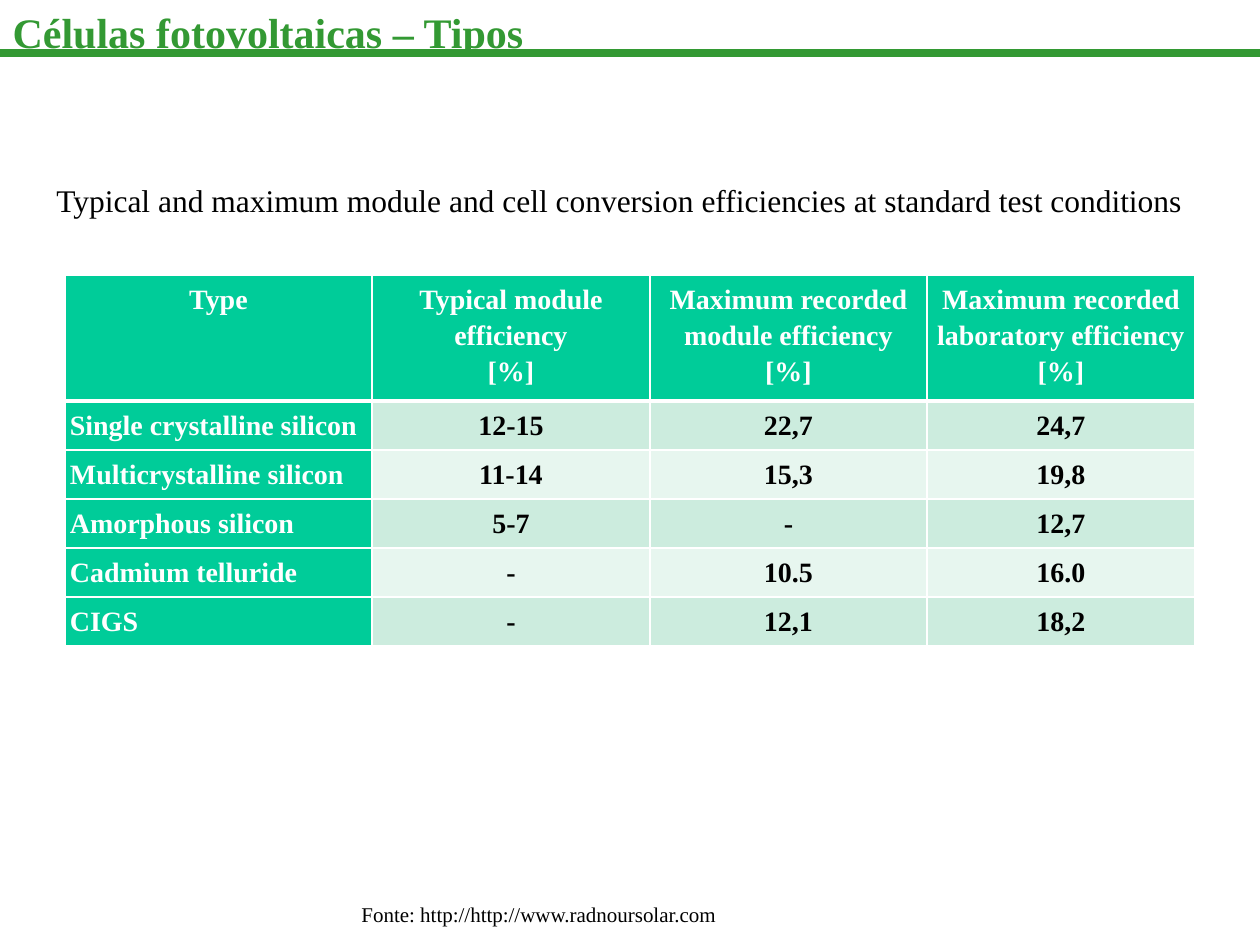
from lxml import etree
from pptx import Presentation
from pptx import util as u
from pptx.dml.color import RGBColor
from pptx.enum import shapes, text
from pptx.oxml.ns import qn

TITLE = "Células fotovoltaicas – Tipos"
CAPTION = "Typical and maximum module and cell conversion efficiencies at standard test conditions"
SOURCE = "Fonte: http://http://www.radnoursolar.com"
HEADER = [
    ["Type"],
    ["Typical module efficiency", "[%]"],
    ["Maximum recorded module efficiency", "[%]"],
    ["Maximum recorded laboratory efficiency", "[%]"],
]
ROWS = [
    ("Single crystalline silicon", "12-15", "22,7", "24,7"),
    ("Multicrystalline silicon", "11-14", "15,3", "19,8"),
    ("Amorphous silicon", "5-7", "-", "12,7"),
    ("Cadmium telluride", "-", "10.5", "16.0"),
    ("CIGS", "-", "12,1", "18,2"),
]
COLUMN_WIDTHS = [307, 278, 277, 268]
HEADER_HEIGHT, ROW_HEIGHT = 126, 49
FONT = "Times New Roman"
GREEN, TEAL, WHITE, BLACK = "339933", "00CC99", "FFFFFF", "000000"
BANDS = ["CCECDE", "E7F6EF"]
LEFT, CENTER = text.PP_ALIGN.LEFT, text.PP_ALIGN.CENTER


def px(n):
    return u.Emu(round(n * 914400 / 126))


def color(value):
    return RGBColor.from_string(value)


def write(frame, lines, size, ink, bold=False, align=LEFT):
    para = frame.paragraphs[0]
    para.alignment = align
    for i, line in enumerate(lines):
        if i:
            para.add_line_break()
        span = para.add_run()
        span.text = line
        span.font.name = FONT
        span.font.size = u.Pt(size)
        span.font.bold = bold
        span.font.color.rgb = color(ink)
    return para


def place(shape, left, top, width, height):
    shape.left, shape.top = px(left), px(top)
    shape.width, shape.height = px(width), px(height)
    frame = shape.text_frame
    frame.word_wrap = True
    frame.auto_size = text.MSO_AUTO_SIZE.NONE
    frame.vertical_anchor = text.MSO_ANCHOR.TOP
    return frame


def add_text(page, area, *style, **options):
    box = page.shapes.add_textbox(0, 0, 0, 0)
    write(place(box, *area), *style, **options)


def set_borders(cell, bottom):
    props = cell._tc.get_or_add_tcPr()
    for i, (side, points) in enumerate([("L", 1), ("R", 1), ("T", 1), ("B", bottom)]):
        edge = etree.Element(qn("a:ln" + side), w=str(u.Pt(points)))
        fill = etree.SubElement(edge, qn("a:solidFill"))
        etree.SubElement(fill, qn("a:srgbClr"), val=WHITE)
        props.insert(i, edge)


def fill_cell(cell, lines, row, column):
    heading = row == 0 or column == 0
    cell.margin_left = cell.margin_right = px(5)
    cell.margin_top = cell.margin_bottom = px(5)
    cell.fill.solid()
    cell.fill.fore_color.rgb = color(TEAL if heading else BANDS[(row - 1) % 2])
    set_borders(cell, 3 if row == 0 else 1)
    align = LEFT if row and column == 0 else CENTER
    para = write(cell.text_frame, lines, 16, WHITE if heading else BLACK, True, align)
    para.line_spacing = 1.15


def add_efficiency_table(page):
    content = [HEADER] + [[[value] for value in row] for row in ROWS]
    heights = [HEADER_HEIGHT] + [ROW_HEIGHT] * len(ROWS)
    table = page.shapes.add_table(
        len(content), len(COLUMN_WIDTHS), px(65), px(275),
        px(sum(COLUMN_WIDTHS)), px(sum(heights))).table
    for column, width in zip(table.columns, COLUMN_WIDTHS):
        column.width = px(width)
    for r, (row, height) in enumerate(zip(content, heights)):
        table.rows[r].height = px(height)
        for c, lines in enumerate(row):
            fill_cell(table.cell(r, c), lines, r, c)


def main():
    deck = Presentation()
    deck.slide_width, deck.slide_height = px(1260), px(945)
    page = deck.slides.add_slide(deck.slide_layouts[5])

    title = place(page.shapes.title, 0, 0, 1260, 63)
    write(title, [TITLE], 24, GREEN, bold=True)

    rule = page.shapes.add_connector(
        shapes.MSO_CONNECTOR.STRAIGHT, 0, px(53), px(1260), px(53))
    rule.line.color.rgb = color(GREEN)
    rule.line.width = u.Pt(4.5)
    etree.SubElement(rule._element.spPr, qn("a:effectLst"))

    add_text(page, (164, 895, 750, 38), [SOURCE], 12, BLACK, align=CENTER)
    add_efficiency_table(page)
    add_text(page, (44, 175, 1171, 50), [CAPTION], 18, BLACK)
    deck.save("out.pptx")


if __name__ == "__main__":
    main()
